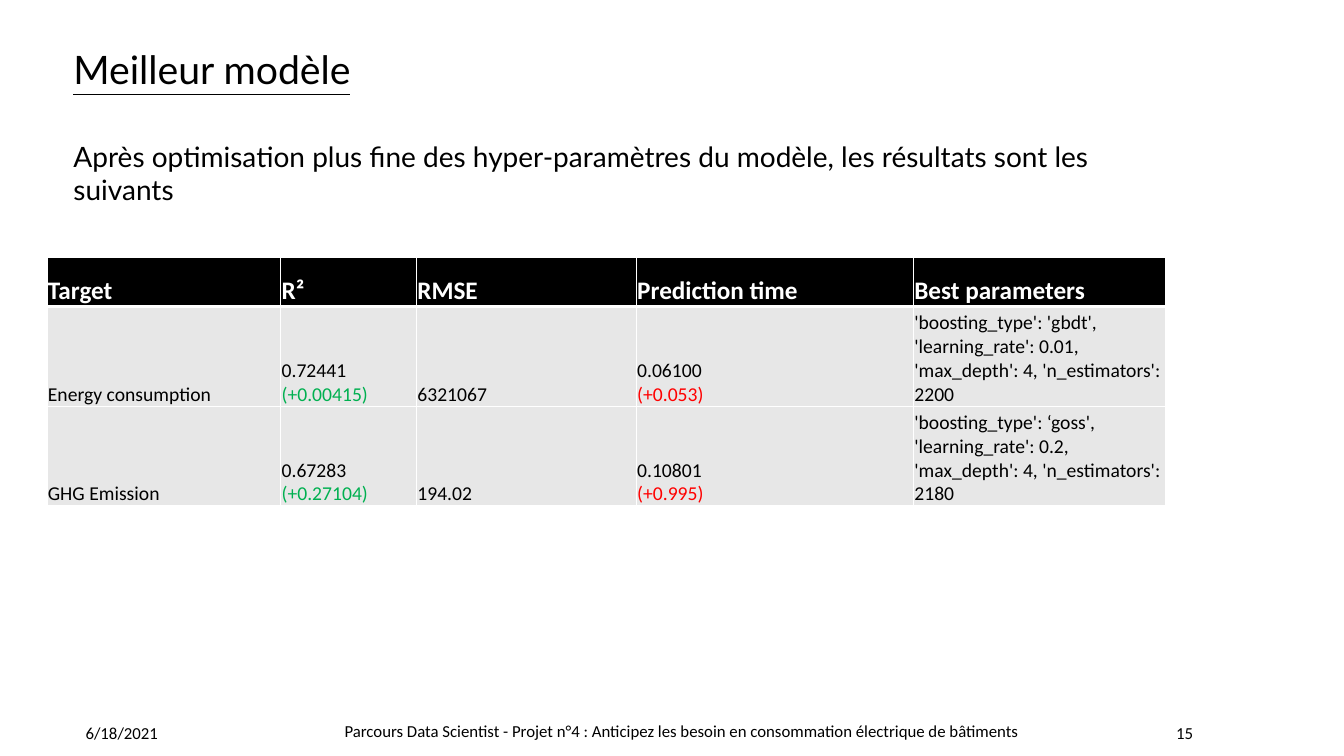
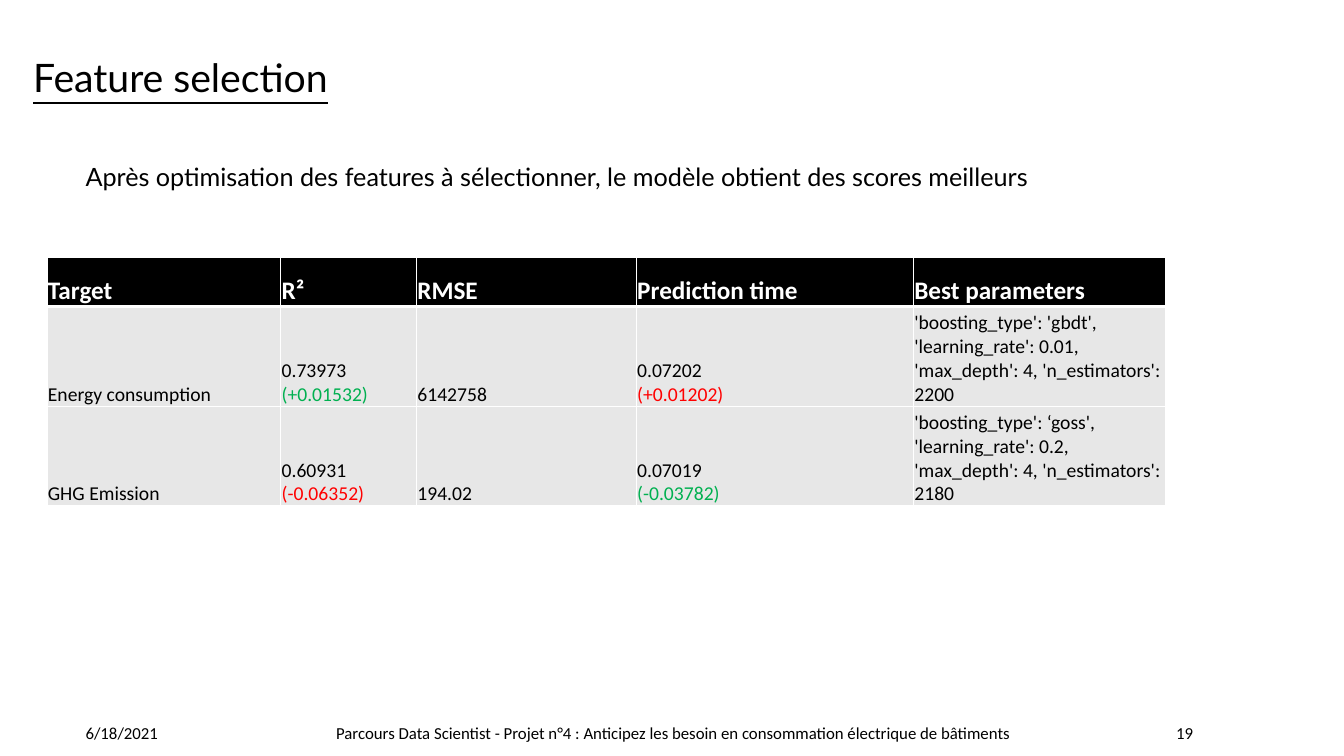
from pptx import Presentation
from pptx.dml.color import RGBColor as RGB
from pptx.enum.text import MSO_ANCHOR as Anchor
from pptx.oxml import parse_xml
from pptx.oxml.ns import nsdecls
from pptx.util import Pt

# Shared style
BLACK, WHITE, GREY = "000000", "FFFFFF", "E7E7E7"
GREEN, RED = "00B050", "FF0000"
HEAD_FONT, BASE_FONT = "Lato", "Calibri"
DATE = "6/18/2021"
FOOTER = ("Parcours Data Scientist - Projet n°4 : Anticipez les besoin "
          "en consommation électrique de bâtiments")

# Shared table layout
GRID = (33.5, 183.6)
COLS = (167, 97, 157, 198, 180.5)
ROWS = (35.3, 71.3, 71.3)
HEADS = ("Target", "R²", "RMSE", "Prediction time", "Best parameters")
TARGETS = ("Energy consumption", "GHG Emission")
PARAMS = (
    "'boosting_type': 'gbdt', 'learning_rate': 0.01, "
    "'max_depth': 4, 'n_estimators': 2200",
    "'boosting_type': ‘goss', 'learning_rate': 0.2, "
    "'max_depth': 4, 'n_estimators': 2180",
)


def color(code):
    return RGB.from_string(code)


def add_run(para, text, size, font=BASE_FONT, ink=BLACK, bold=False, line=False):
    run = para.add_run()
    run.text = text
    style = run.font
    style.size, style.name = Pt(size), font
    style.bold, style.underline = bold, line
    style.color.rgb = color(ink)


def add_text(slide, box, text, size, font=BASE_FONT, line=False):
    frame = slide.shapes.add_textbox(*map(Pt, box)).text_frame
    frame.word_wrap = True
    add_run(frame.paragraphs[0], text, size, font, line=line)


def add_edge(cell, side, width):
    cell._tc.get_or_add_tcPr().append(parse_xml(
        f'<a:ln{side} {nsdecls("a")} w="{Pt(width)}"><a:solidFill>'
        f'<a:srgbClr val="{WHITE}"/></a:solidFill></a:ln{side}>'))


def fill_cell(cell, row, lines):
    """Write (text, ink) lines, one paragraph each."""
    head = row == 0
    # Borders come before the fill; the rule under the header is thicker
    widths = {"L": 1, "R": 1, "T": 3 if row == 1 else 1, "B": 3 if head else 1}
    for side, width in widths.items():
        add_edge(cell, side, width)
    cell.fill.solid()
    cell.fill.fore_color.rgb = color(BLACK if head else GREY)
    cell.vertical_anchor = Anchor.BOTTOM
    cell.margin_left = cell.margin_right = cell.margin_top = Pt(0.7)
    cell.margin_bottom = 0
    frame = cell.text_frame
    for i, (text, ink) in enumerate(lines):
        para = frame.add_paragraph() if i else frame.paragraphs[0]
        add_run(para, text, 18 if head else 14, ink=ink, bold=head)


def with_delta(value, delta, better):
    """A score and its change, green when the sign is the better one."""
    ink = GREEN if delta.startswith(better) else RED
    return [(value, BLACK), (f"({delta})", ink)]


def add_scores(slide, left, top, scores):
    table = slide.shapes.add_table(
        len(ROWS), len(COLS), Pt(left), Pt(top),
        Pt(sum(COLS)), Pt(sum(ROWS))).table
    table.horz_banding = False
    for col, width in zip(table.columns, COLS):
        col.width = Pt(width)
    for row, height in zip(table.rows, ROWS):
        row.height = Pt(height)

    data = [[[(name, WHITE)] for name in HEADS]]
    for target, param, (fit, error, time) in zip(TARGETS, PARAMS, scores):
        data.append([[(target, BLACK)], with_delta(*fit, "+"),
                     [(error, BLACK)], with_delta(*time, "-"),
                     [(param, BLACK)]])
    for r, cells in enumerate(data):
        for c, lines in enumerate(cells):
            fill_cell(table.cell(r, c), r, lines)


def add_footer(slide, box, number):
    top = 512.6
    add_text(slide, (54, top, 74, 29), DATE, 12)
    add_text(slide, box, FOOTER, 12)
    add_text(slide, (833, top, 61, 29), number, 12)


def add_page(deck, title, body, foot, scores):
    """Title and body are (box, text, size); foot is (box, number)."""
    slide = deck.slides.add_slide(deck.slide_layouts[6])
    add_footer(slide, *foot)
    add_text(slide, *title, HEAD_FONT, line=True)
    add_text(slide, *body, HEAD_FONT)
    add_scores(slide, *GRID, scores)


def main():
    deck = Presentation()
    deck.slide_width, deck.slide_height = Pt(960), Pt(540)

    # Best model
    add_page(
        deck,
        ((45.4, 28.8, 795, 41), "Meilleur modèle", 28),
        ((45.4, 95.8, 795, 56), "Après optimisation plus fine des "
         "hyper-paramètres du modèle, les résultats sont les suivants", 20),
        ((239, 511.2, 510.5, 29), "15"),
        [(("0.72441", "+0.00415"), "6321067", ("0.06100", "+0.053")),
         (("0.67283", "+0.27104"), "194.02", ("0.10801", "+0.995"))])

    # Feature selection
    add_page(
        deck,
        ((16.6, 34.6, 726, 63), "Feature selection", 28),
        ((54, 111.6, 804, 29), "Après optimisation des features à "
         "sélectionner, le modèle obtient des scores meilleurs", 18),
        ((233, 512.6, 502, 29), "19"),
        [(("0.73973", "+0.01532"), "6142758", ("0.07202", "+0.01202")),
         (("0.60931", "-0.06352"), "194.02", ("0.07019", "-0.03782"))])

    deck.save("out.pptx")


if __name__ == "__main__":
    main()
